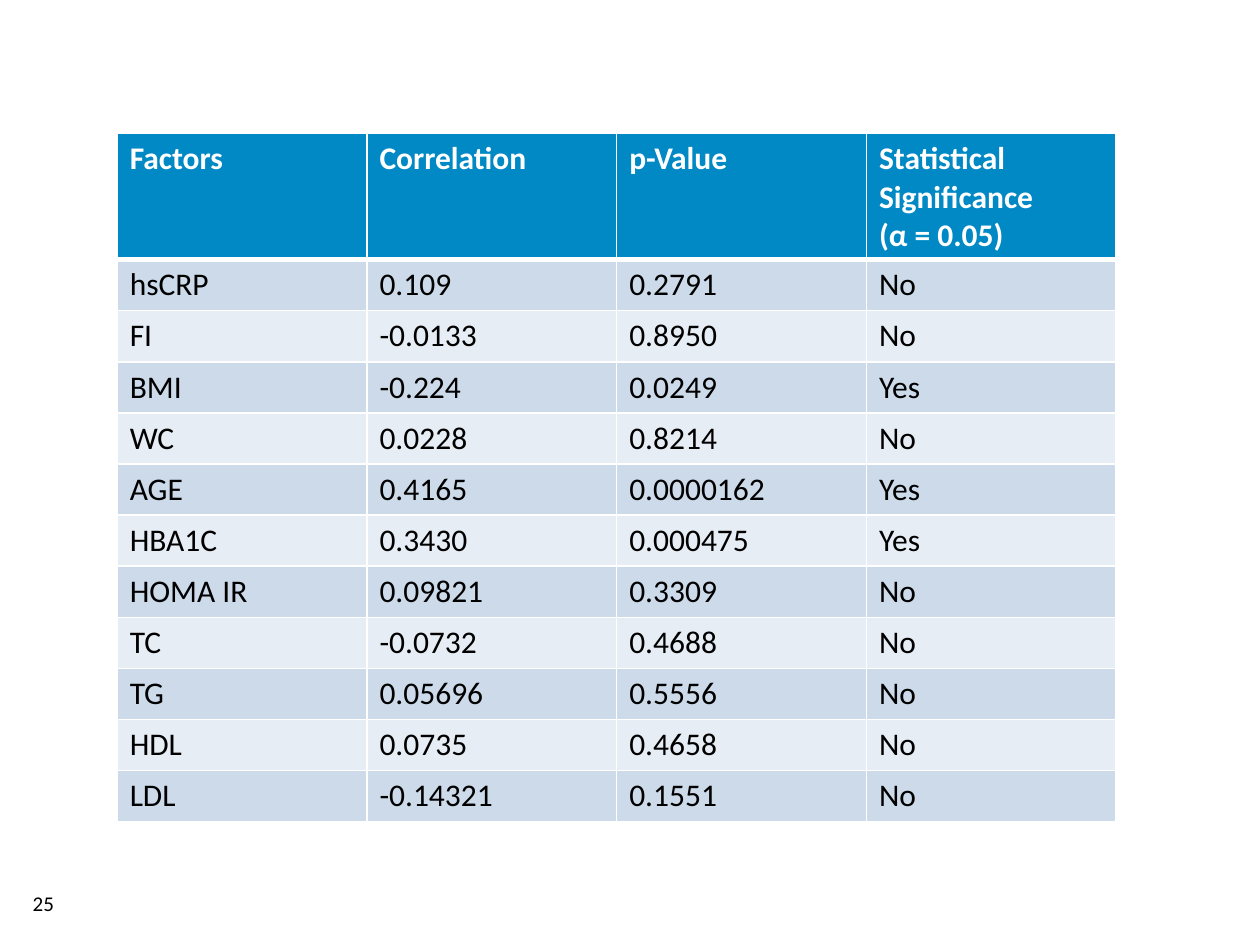
from dataclasses import dataclass

from lxml import etree
from pptx import Presentation
from pptx.dml.color import RGBColor
from pptx.oxml.ns import qn
from pptx.util import Inches, Pt

BLANK_LAYOUT = 6


@dataclass(frozen=True)
class Theme:
    font: str = "Calibri"
    table_size: int = 18
    number_size: int = 12
    text: str = "000000"
    light: str = "FFFFFF"
    header: str = "0089C4"
    bands: tuple = ("CCDAEA", "E7EDF5")


THEME = Theme()

HEADERS = ("Factors", "Correlation", "p-Value",
           "Statistical Significance\n(α = 0.05)")
FACTORS = (
    ("hsCRP", "0.109", "0.2791", "No"),
    ("FI", "-0.0133", "0.8950", "No"),
    ("BMI", "-0.224", "0.0249", "Yes"),
    ("WC", "0.0228", "0.8214", "No"),
    ("AGE", "0.4165", "0.0000162", "Yes"),
    ("HBA1C", "0.3430", "0.000475", "Yes"),
    ("HOMA IR", "0.09821", "0.3309", "No"),
    ("TC", "-0.0732", "0.4688", "No"),
    ("TG", "0.05696", "0.5556", "No"),
    ("HDL", "0.0735", "0.4658", "No"),
    ("LDL", "-0.14321", "0.1551", "No"),
)


def write_text(tf, text, *, size, color=THEME.text, bold=False):
    """Write one paragraph for each line of text."""
    tf.text = text
    for p in tf.paragraphs:
        for r in p.runs:
            r.font.name = THEME.font
            r.font.size = Pt(size)
            r.font.bold = bold
            r.font.color.rgb = RGBColor.from_string(color)


def set_borders(cell, **widths):
    """Draw the cell's edges; they must precede its fill in the XML."""
    tc_pr = cell._tc.get_or_add_tcPr()
    for index, (edge, width) in enumerate(widths.items()):
        ln = etree.Element(qn(f"a:ln{edge}"), w=str(Pt(width)))
        fill = etree.SubElement(ln, qn("a:solidFill"))
        etree.SubElement(fill, qn("a:srgbClr"), val=THEME.light)
        tc_pr.insert(index, ln)


def format_cell(cell, text, row):
    is_header = row == 0
    fill = THEME.header if is_header else THEME.bands[(row - 1) % 2]
    cell.fill.solid()
    cell.fill.fore_color.rgb = RGBColor.from_string(fill)
    write_text(cell.text_frame, text, size=THEME.table_size, bold=is_header,
               color=THEME.light if is_header else THEME.text)
    set_borders(cell, L=1, R=1, T=3 if row == 1 else 1, B=3 if is_header else 1)


def add_factor_table(slide):
    rows = (HEADERS, *FACTORS)
    # Equal rows; the header grows to hold its three lines.
    frame = slide.shapes.add_table(len(rows), len(HEADERS), Inches(0.93),
                                   Inches(1.06), Inches(7.93), Inches(4.87))
    for row, values in enumerate(rows):
        for col, value in enumerate(values):
            format_cell(frame.table.cell(row, col), value, row)
    frame.height = Inches(5.46)


def add_page_number(slide, number):
    sp = slide.shapes.add_textbox(Inches(0.26), Inches(7.07),
                                  Inches(0.56), Inches(0.2))
    tf = sp.text_frame
    tf.word_wrap = True
    tf.margin_left = tf.margin_right = tf.margin_top = tf.margin_bottom = 0
    write_text(tf, number, size=THEME.number_size)


def main():
    prs = Presentation()
    prs.slide_width, prs.slide_height = Inches(10), Inches(7.5)
    slide = prs.slides.add_slide(prs.slide_layouts[BLANK_LAYOUT])
    add_page_number(slide, "25")
    add_factor_table(slide)
    prs.save("out.pptx")


if __name__ == "__main__":
    main()
